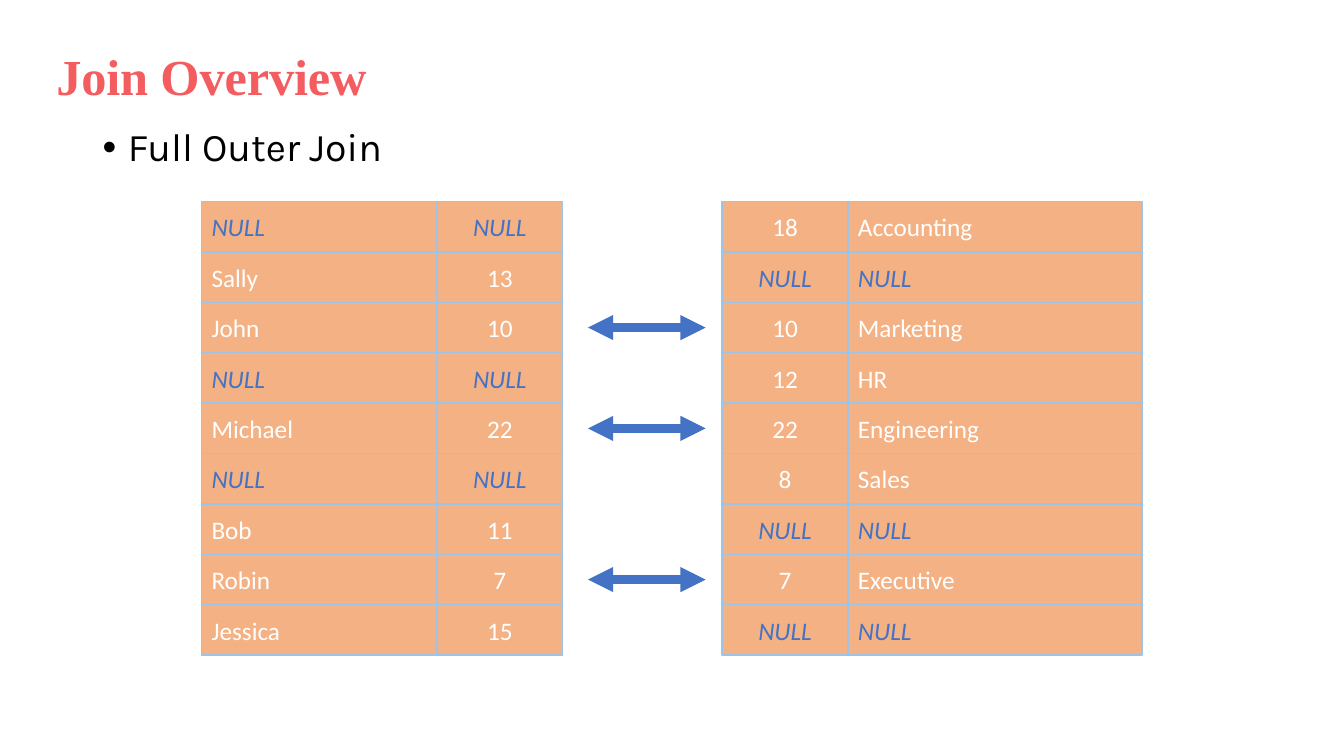
from dataclasses import dataclass

from lxml import etree
from pptx import Presentation
from pptx.dml.color import RGBColor
from pptx.enum.shapes import MSO_CONNECTOR, MSO_SHAPE
from pptx.enum.text import MSO_ANCHOR, PP_ALIGN
from pptx.oxml.ns import qn
from pptx.util import Pt

STRAIGHT = MSO_CONNECTOR.STRAIGHT
RECTANGLE = MSO_SHAPE.RECTANGLE
MIDDLE = MSO_ANCHOR.MIDDLE
LEFT, CENTER = PP_ALIGN.LEFT, PP_ALIGN.CENTER


@dataclass(frozen=True)
class Theme:
    title: str = "F45D60"
    body: str = "000000"
    cell: str = "F4B183"
    border: str = "9DC3E6"
    value: str = "FFFFFF"
    accent: str = "4472C4"
    title_size: int = 36
    body_size: int = 28
    cell_size: int = 18


theme = Theme()
NULL = "NULL"
GRID_TOP, ROW_HEIGHT = 144, 36
ID_WIDTH = 90

employees = [
    (NULL, NULL), ("Sally", "13"), ("John", "10"), (NULL, NULL), ("Michael", "22"),
    (NULL, NULL), ("Bob", "11"), ("Robin", "7"), ("Jessica", "15"),
]
departments = [
    ("18", "Accounting"), (NULL, NULL), ("10", "Marketing"), ("12", "HR"),
    ("22", "Engineering"), ("8", "Sales"), (NULL, NULL), ("7", "Executive"), (NULL, NULL),
]


def style_text(paragraph, name, size, color):
    paragraph.font.name = name
    paragraph.font.size = Pt(size)
    paragraph.font.color.rgb = RGBColor.from_string(color)


def add_cell(page, left, top, width, value, alignment):
    cell = page.shapes.add_shape(RECTANGLE, Pt(left), Pt(top), Pt(width), Pt(ROW_HEIGHT))
    cell.shadow.inherit = False
    cell.fill.solid()
    cell.fill.fore_color.rgb = RGBColor.from_string(theme.cell)
    cell.line.color.rgb = RGBColor.from_string(theme.border)
    cell.line.width = Pt(1)
    cell.text_frame.word_wrap = True
    cell.text_frame.vertical_anchor = MIDDLE
    paragraph = cell.text_frame.paragraphs[0]
    paragraph.text = value
    paragraph.alignment = alignment
    color = theme.accent if value == NULL else theme.value
    style_text(paragraph, "Calibri", theme.cell_size, color)
    paragraph.font.italic = value == NULL


deck = Presentation()
deck.slide_width, deck.slide_height = Pt(960), Pt(540)
page = deck.slides.add_slide(deck.slide_layouts[6])

bullet_box = page.shapes.add_textbox(Pt(66.24), Pt(87.84), Pt(828), Pt(328.32))
bullet_box.text_frame.word_wrap = True
bullet = bullet_box.text_frame.paragraphs[0]
bullet.text = "Full Outer Join"
bullet.line_spacing = 0.9
bullet_properties = bullet._p.get_or_add_pPr()
bullet_properties.set("marL", str(Pt(18)))
bullet_properties.set("indent", str(Pt(-18)))
etree.SubElement(bullet_properties, qn("a:buFont"), typeface="Arial")
etree.SubElement(bullet_properties, qn("a:buChar"), char="•")
style_text(bullet, "Karla", theme.body_size, theme.body)

grids = [
    (144, (168, ID_WIDTH), (LEFT, CENTER), employees),
    (515.75, (ID_WIDTH, 210), (CENTER, LEFT), departments),
]
for grid_left, widths, alignments, records in grids:
    for index, record in enumerate(records):
        left = grid_left
        for width, value, alignment in zip(widths, record, alignments):
            add_cell(page, left, GRID_TOP + index * ROW_HEIGHT, width, value, alignment)
            left += width

for index, (employee, department) in enumerate(zip(employees, departments)):
    if employee[1] != department[0]:
        continue
    middle = Pt(GRID_TOP + ROW_HEIGHT * (index + 0.5))
    arrow = page.shapes.add_connector(STRAIGHT, Pt(420), middle, Pt(504), middle)
    arrow.line.width = Pt(6)
    arrow.line.color.rgb = RGBColor.from_string(theme.accent)
    outline = arrow.line._get_or_add_ln()
    for end in ("a:headEnd", "a:tailEnd"):
        etree.SubElement(outline, qn(end), type="triangle")
    etree.SubElement(arrow._element.spPr, qn("a:effectLst"))

title_box = page.shapes.add_textbox(Pt(33.12), Pt(28.8), Pt(481), Pt(51))
title_box.text_frame.word_wrap = True
title = title_box.text_frame.paragraphs[0]
title.text = "Join Overview"
style_text(title, "Times New Roman", theme.title_size, theme.title)
title.font.bold = True
title.runs[0].font._element.set("spc", "-10")

deck.save("out.pptx")
